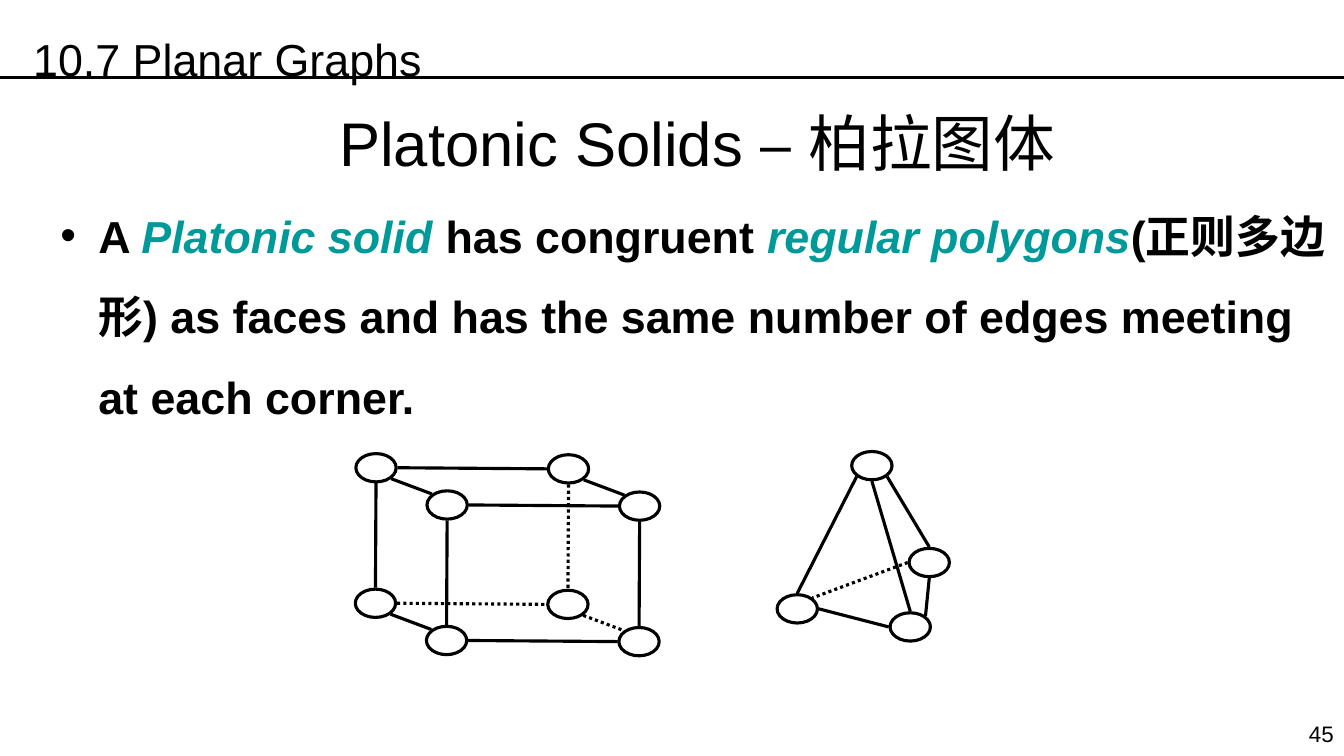
"""Build the Platonic solids slide with a cube and a tetrahedron graph."""
import pptx
import pptx.util
import pptx.dml.color
import pptx.enum.dml
import pptx.enum.shapes
import pptx.enum.text
import pptx.oxml

Pt = pptx.util.Pt
ALIGN = pptx.enum.text.PP_ALIGN
BLACK = pptx.dml.color.RGBColor(0, 0, 0)
WHITE = pptx.dml.color.RGBColor(255, 255, 255)
TEAL = pptx.dml.color.RGBColor(0, 0x99, 0x99)

TERM = dict(color=TEAL, italic=True)
HEADER = [("10.7 Planar Graphs", {})]
TITLE = [("Platonic Solids ", {}), ("– ", dict(font="TeX Gyre Adventor")), ("柏拉图体", {})]
BODY = [
    ("A ", {}),
    ("Platonic solid ", TERM),
    ("has congruent ", {}),
    ("regular polygons", TERM),
    ("(正则多边形) as faces and has the same number of edges meeting at each corner.", {}),
]
PAGE = [("45", {})]

CUBE_ORIGIN = (268.6, 334.1)
CUBE_AXES = {"right": (137.5, 0.8), "down": (-0.4, 96.8), "front": (50.8, 26.6)}
CUBE_SITES = {"right": ("E", "W"), "down": ("S", "N"), "front": ("SE", "NW")}
HIDDEN_CORNER = {"right", "down"}

TETRA = {"apex": (622.8, 332.6), "right": (663.8, 401.8),
         "left": (569.5, 434.9), "front": (650.2, 447.8)}
TETRA_EDGES = [
    ("apex", "SW", "left", "N", False),
    ("apex", "S", "front", "N", False),
    ("apex", "SE", "right", "N", False),
    ("front", "NE", "right", "S", False),
    ("front", "W", "left", "E", False),
    ("right", "W", "left", "NE", True),
]

NODE_W, NODE_H, LINE_W, GAP = 28.8, 20.2, 2.25, 1


def add_text(tf, runs, size, font="Arial", bold=False, align=ALIGN.LEFT, spacing=1.0):
    tf.word_wrap = True
    tf.auto_size = pptx.enum.text.MSO_AUTO_SIZE.NONE
    tf.vertical_anchor = pptx.enum.text.MSO_ANCHOR.TOP
    p = tf.paragraphs[0]
    p.alignment, p.line_spacing, p.space_before = align, spacing, Pt(0)
    for text, style in runs:
        r = p.add_run()
        r.text = text
        r.font.name = style.get("font", font)
        r.font.size = Pt(size)
        r.font.bold = bold
        r.font.italic = style.get("italic", False)
        r.font.color.rgb = style.get("color", BLACK)


def place(sp, left, top, width, height):
    sp.left, sp.top, sp.width, sp.height = Pt(left), Pt(top), Pt(width), Pt(height)


def add_line(s, start, end, dotted=False):
    c = s.shapes.add_connector(pptx.enum.shapes.MSO_CONNECTOR.STRAIGHT,
                               *(Pt(v) for v in (*start, *end)))
    c.line.color.rgb = BLACK
    c.line.width = Pt(LINE_W)
    if dotted:
        c.line.dash_style = pptx.enum.dml.MSO_LINE.ROUND_DOT
    sp_pr = c._element.spPr
    sp_pr.append(sp_pr.makeelement(pptx.oxml.ns.qn("a:effectLst"), {}))


def add_node(s, center):
    x, y = center
    sp = s.shapes.add_shape(pptx.enum.shapes.MSO_SHAPE.OVAL, Pt(x - NODE_W / 2),
                            Pt(y - NODE_H / 2), Pt(NODE_W), Pt(NODE_H))
    sp.shadow.inherit = False
    sp.fill.solid()
    sp.fill.fore_color.rgb = WHITE
    sp.line.color.rgb = BLACK
    sp.line.width = Pt(LINE_W)


def site(center, direction):
    dx = ("E" in direction) - ("W" in direction)
    dy = ("S" in direction) - ("N" in direction)
    k = (dx * dx + dy * dy) ** -0.5
    return (center[0] + dx * k * (NODE_W / 2 + GAP),
            center[1] + dy * k * (NODE_H / 2 + GAP))


def add_graph(s, nodes, edges):
    for a, from_site, b, to_site, dotted in edges:
        add_line(s, site(nodes[a], from_site), site(nodes[b], to_site), dotted)
    for center in nodes.values():
        add_node(s, center)


def cube():
    nodes = {frozenset(): CUBE_ORIGIN}
    for axis, (dx, dy) in CUBE_AXES.items():
        nodes.update({corner | {axis}: (x + dx, y + dy)
                      for corner, (x, y) in list(nodes.items())})
    edges = []
    for corner in nodes:
        for axis, (from_site, to_site) in CUBE_SITES.items():
            if axis not in corner:
                other = corner | {axis}
                hidden = HIDDEN_CORNER in (corner, other)
                edges.append((corner, from_site, other, to_site, hidden))
    return nodes, edges


def main():
    prs = pptx.Presentation()
    prs.slide_width, prs.slide_height = Pt(960), Pt(540)
    s = prs.slides.add_slide(prs.slide_layouts[1])
    title, body = s.placeholders
    add_line(s, (0, 55.5), (960, 55.5))
    place(title, 36, 71.3, 924, 90)
    add_text(title.text_frame, TITLE, 44, align=ALIGN.CENTER)
    place(body, 36, 126, 924, 356.4)
    add_text(body.text_frame, BODY, 32, bold=True, spacing=1.5)
    header = s.shapes.add_textbox(Pt(16.6), Pt(0), Pt(870.5), Pt(58.3))
    add_text(header.text_frame, HEADER, 32, spacing=1.5)
    page = s.shapes.add_textbox(Pt(914.4), Pt(511.2), Pt(45.4), Pt(26.6))
    add_text(page.text_frame, PAGE, 16, align=ALIGN.RIGHT)
    add_graph(s, *cube())
    add_graph(s, TETRA, TETRA_EDGES)
    prs.save("out.pptx")


if __name__ == "__main__":
    main()
